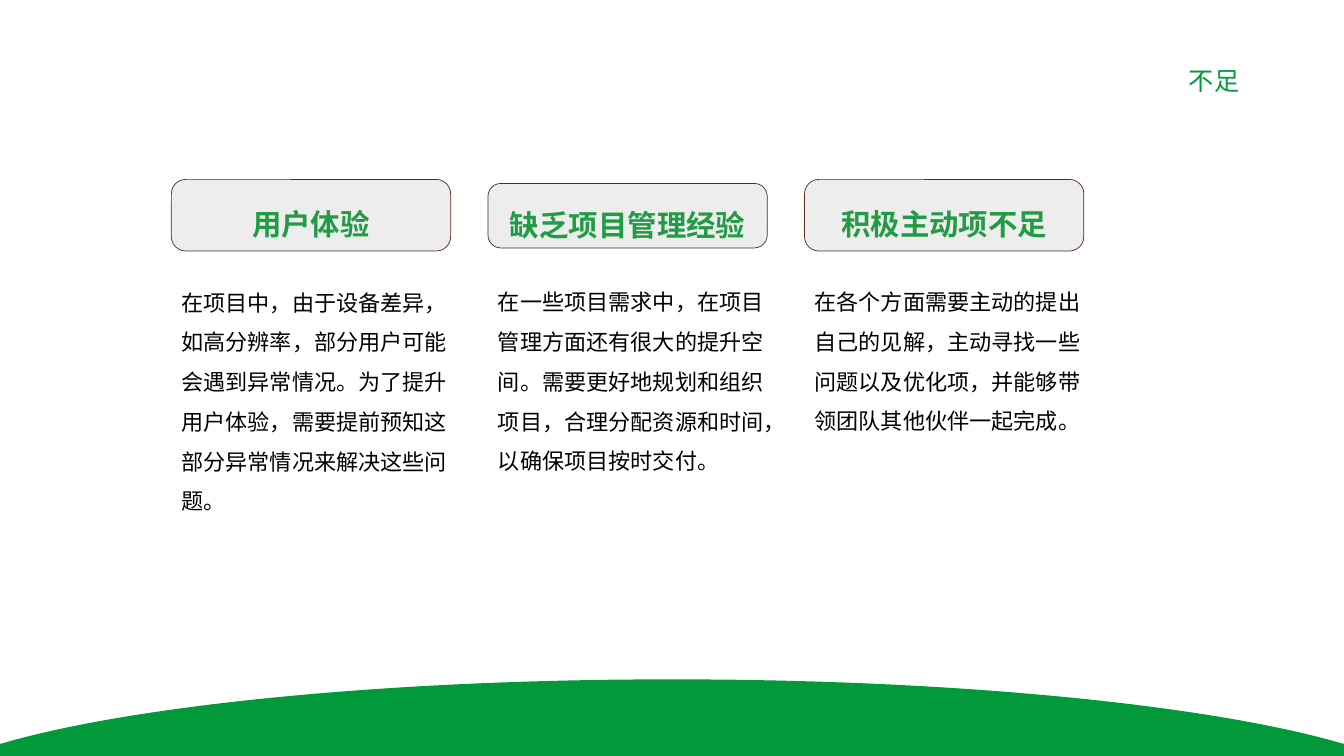
from pptx import Presentation
from pptx.dml.color import RGBColor
from pptx.enum.shapes import MSO_SHAPE
from pptx.enum.text import MSO_ANCHOR, PP_ALIGN
from pptx.oxml.ns import qn
from pptx.util import Inches, Pt
from lxml import etree

FONT = "Noto Sans CJK SC"
HILL_GREEN = RGBColor(0x02, 0x99, 0x3B)
TITLE_GREEN = RGBColor(0x02, 0x99, 0x3C)
LABEL_GREEN = RGBColor(0x21, 0x9B, 0x44)
LABEL_FILL = RGBColor(0xED, 0xED, 0xED)
LABEL_LINE = RGBColor(0x54, 0x2C, 0x16)
BLACK = RGBColor(0, 0, 0)

COLUMNS = [
    ("用户体验", 1.78, 0.71, 2.7, 2.44,
     "在项目中，由于设备差异，如高分辨率，部分用户可能会遇到异常情况。"
     "为了提升用户体验，需要提前预知这部分异常情况来解决这些问题。"),
    ("缺乏项目管理经验", 1.82, 0.64, 2.7, 2.04,
     "在一些项目需求中，在项目管理方面还有很大的提升空间。"
     "需要更好地规划和组织项目，合理分配资源和时间，以确保项目按时交付。"),
    ("积极主动项不足", 1.78, 0.71, 2.68, 1.68,
     "在各个方面需要主动的提出自己的见解，主动寻找一些问题以及优化项，"
     "并能够带领团队其他伙伴一起完成。"),
]


def write(sp, text, size, color, align, spacing=1.5, bold=False):
    tf = sp.text_frame
    tf.text = text
    tf.word_wrap = True
    tf.vertical_anchor = MSO_ANCHOR.MIDDLE
    p = tf.paragraphs[0]
    p.alignment = align
    p.line_spacing = spacing
    r = p.runs[0]
    r.font.size = Pt(size)
    r.font.bold = bold
    r.font.color.rgb = color
    r.font.name = FONT
    etree.SubElement(r.font._element, qn("a:ea"), typeface=FONT)


def bezier(t, a, b, c, d):
    u = 1 - t
    return u**3 * a + 3 * u**2 * t * b + 3 * u * t**2 * c + t**3 * d


prs = Presentation()
prs.slide_width = Inches(13.33)
prs.slide_height = Inches(7.5)
s = prs.slides.add_slide(prs.slide_layouts[6])

STEPS = 40
right = [(bezier(i / STEPS, 6.67, 9.53, 12.01, 13.29),
          bezier(i / STEPS, 6.74, 6.74, 7, 7.37)) for i in range(STEPS + 1)]
right += [(13.33, 7.38), (13.33, 7.5)]
left = [(13.33 - x, y) for x, y in reversed(right)]
outline = [(Inches(x), Inches(y)) for x, y in right + left]
fb = s.shapes.build_freeform(*outline[0])
fb.add_line_segments(outline[1:], close=True)
hill = fb.convert_to_shape()
hill.shadow.inherit = False
hill.fill.solid()
hill.fill.fore_color.rgb = HILL_GREEN
hill.line.fill.background()

for i, (label, label_top, label_height, top, height, body) in enumerate(COLUMNS):
    x = Inches(1.7 + 3.14 * i)
    sp = s.shapes.add_textbox(x, Inches(top), Inches(3), Inches(height))
    write(sp, body, 15.8, BLACK, PP_ALIGN.LEFT)

    sp = s.shapes.add_shape(MSO_SHAPE.ROUNDED_RECTANGLE, x, Inches(label_top),
                            Inches(2.77), Inches(label_height))
    sp.adjustments[0] = 0.2
    sp.shadow.inherit = False
    sp.fill.solid()
    sp.fill.fore_color.rgb = LABEL_FILL
    sp.line.color.rgb = LABEL_LINE
    sp.line.width = Pt(0.5)
    write(sp, label, 21, LABEL_GREEN, PP_ALIGN.CENTER, bold=True)

title = s.shapes.add_textbox(Inches(11.68), Inches(0.6), Inches(0.71), Inches(0.4))
write(title, "不足", 18, TITLE_GREEN, PP_ALIGN.RIGHT, spacing=1.0)
title.text_frame.word_wrap = False
title.text_frame.vertical_anchor = MSO_ANCHOR.TOP

prs.save("out.pptx")
